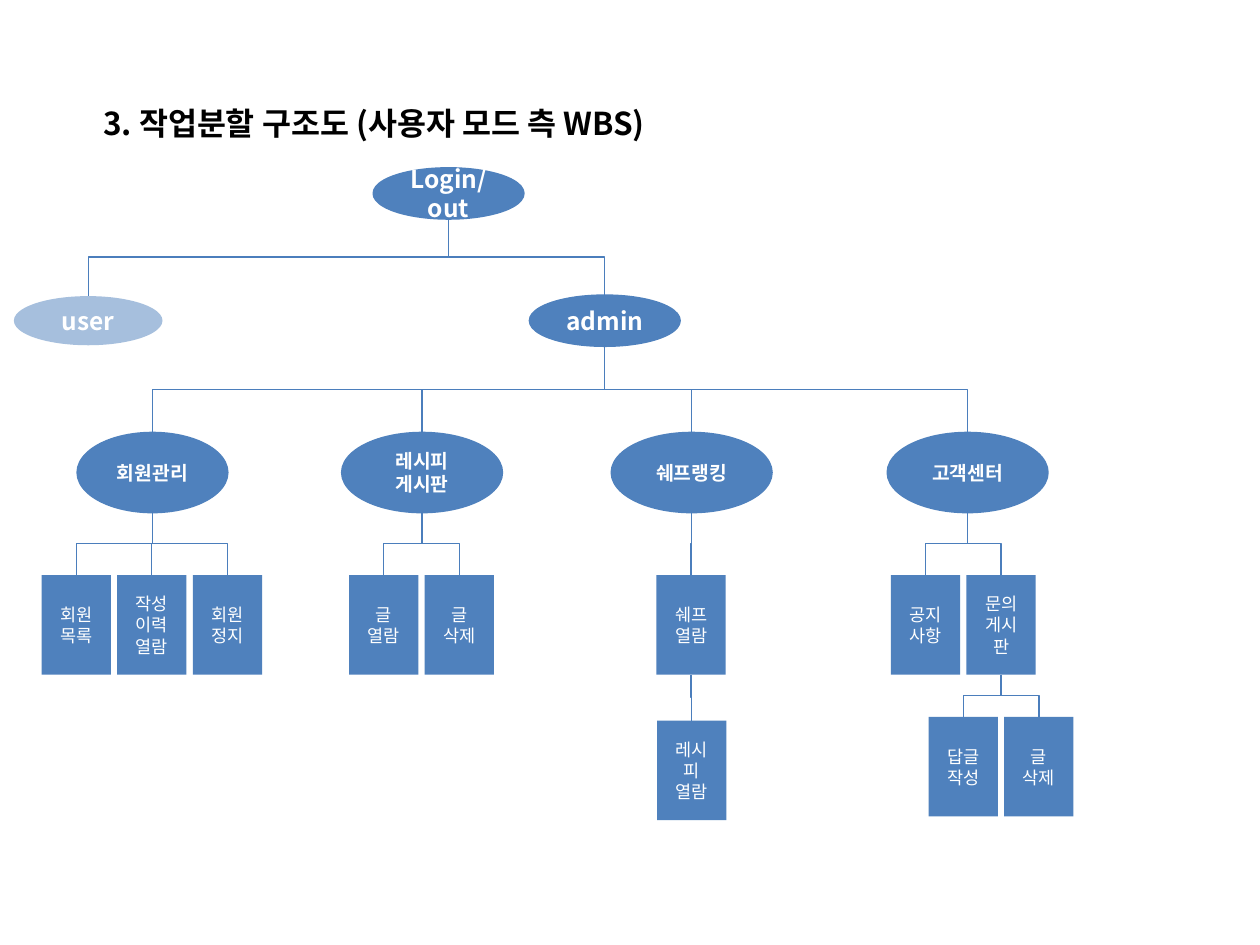
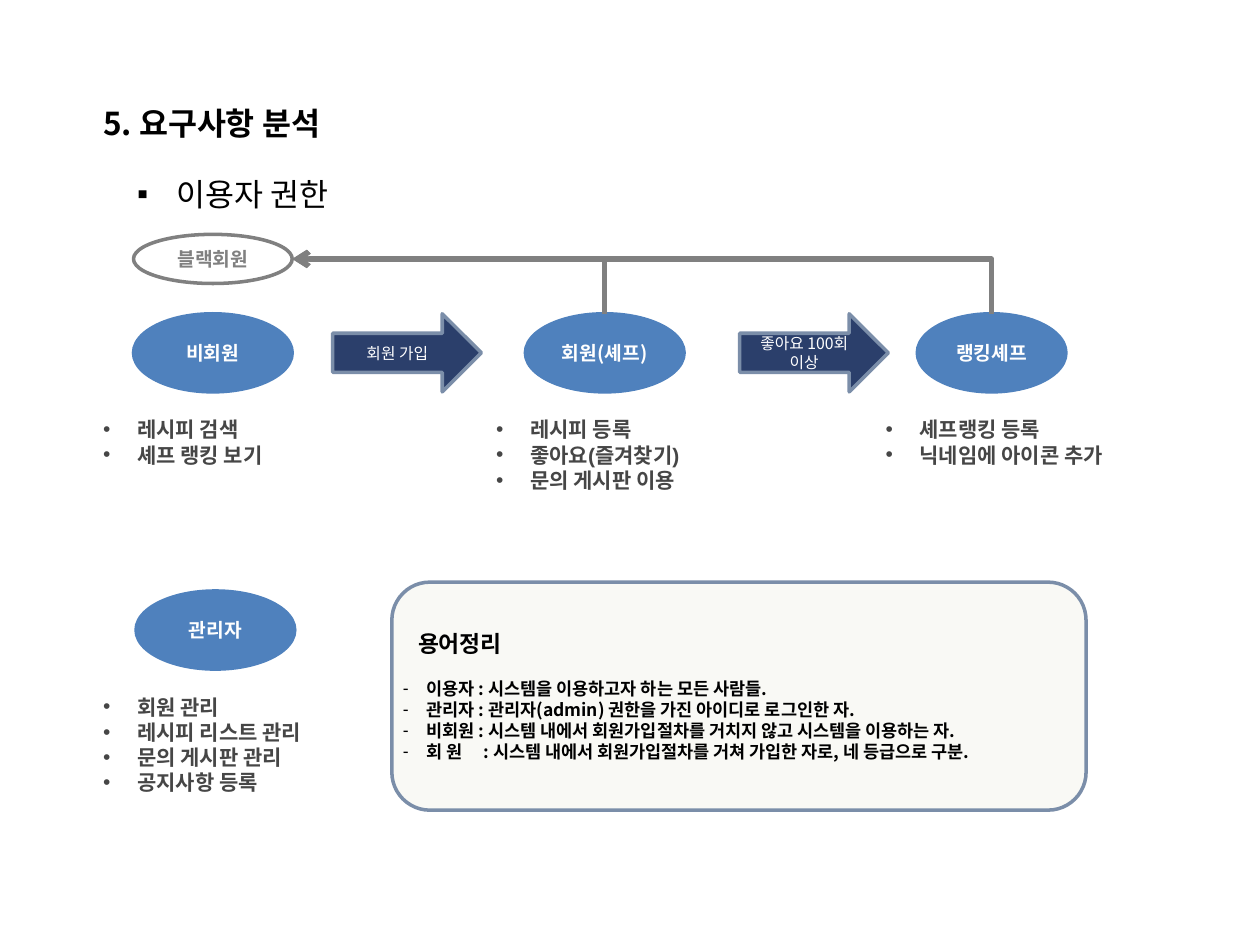
from pptx import Presentation
from pptx.dml.color import RGBColor
from pptx.enum.shapes import MSO_CONNECTOR as CONN, MSO_SHAPE as SHAPE
from pptx.enum.text import MSO_ANCHOR as ANCHOR, PP_ALIGN as ALIGN
from pptx.oxml.ns import qn
from pptx.util import Inches, Pt
from lxml import etree

# Shared style; the grid has 100 columns and 75 rows
CELL = 0.1
FONT = "Noto Sans CJK KR"
BLUE, LINK, NAVY, STEEL = "4F81BD", "4B7EBC", "2B3F6B", "7B8EA9"
GREY, DARK, CREAM, WHITE, BLACK = "808080", "464646", "EEECE1", "FFFFFF", "000000"
HEADING = dict(size=18, bold=True)
OVAL = dict(size=14, bold=True, color=WHITE)
SMALL_OVAL = dict(OVAL, size=11)
BOX = dict(size=10, color=WHITE)
ARROW = dict(size=9, color=WHITE)
RIGHTS = dict(size=12, bold=True, color=DARK, name="Arial")


def rgb(value):
    return RGBColor.from_string(value)


def grid(n):
    return Inches(round(n * CELL, 3))


def sub(parent, tag, **attrs):
    el = etree.SubElement(parent, qn(tag))
    for key, value in attrs.items():
        el.set(key, str(value))
    return el


class Deck:
    def __init__(self):
        self.prs = Presentation()
        self.prs.slide_width, self.prs.slide_height = grid(100), grid(75)
        self.slide = None

    def new_slide(self, title):
        self.slide = self.prs.slides.add_slide(self.prs.slide_layouts[6])
        tf = self.text_box([title], 7.2, 7.2, 88.4, 5.1, HEADING)
        tf.vertical_anchor = ANCHOR.MIDDLE

    def styled_run(self, p, text, fmt):
        r = p.add_run()
        r.text = text
        for key, value in dict(dict(name=FONT, color=BLACK), **fmt).items():
            if key == "color":
                r.font.color.rgb = rgb(value)
            else:
                setattr(r.font, key, Pt(value) if key == "size" else value)
        sub(r._r.get_or_add_rPr(), "a:ea", typeface=FONT)

    def fill_text(self, tf, lines, fmt, align=ALIGN.LEFT, bullet=None):
        """bullet is (sign, left margin, hanging indent)."""
        for i, line in enumerate(lines):
            p = tf.add_paragraph() if i or tf.text else tf.paragraphs[0]
            p.alignment = align
            self.styled_run(p, line, fmt)
            if bullet:
                sign, margin, hang = bullet
                pPr = p._p.get_or_add_pPr()
                pPr.set("marL", str(grid(margin)))
                pPr.set("indent", str(-grid(hang)))
                sub(pPr, "a:buFont", typeface="Arial")
                sub(pPr, "a:buChar", char=sign)

    def text_box(self, lines, x, y, w, h, fmt, bullet=None, wrap=True):
        tf = self.slide.shapes.add_textbox(*map(grid, (x, y, w, h))).text_frame
        tf.word_wrap = wrap
        self.fill_text(tf, lines, fmt, bullet=bullet)
        return tf

    def shape(self, kind, lines, x, y, w, h, fmt, fill=BLUE, line=None, alpha=None):
        sp = self.slide.shapes.add_shape(kind, *map(grid, (x, y, w, h)))
        sp.shadow.inherit = False
        sp.fill.solid()
        sp.fill.fore_color.rgb = rgb(fill)
        if alpha:
            color = sp._element.spPr.find(qn("a:solidFill"))[0]
            sub(color, "a:alpha", val=alpha * 1000)
        if line:
            sp.line.color.rgb, sp.line.width = rgb(line), Pt(2)
        else:
            sp.line.fill.background()
        tf = sp.text_frame
        tf.word_wrap, tf.vertical_anchor = True, ANCHOR.MIDDLE
        self.fill_text(tf, lines, fmt, ALIGN.CENTER)
        return sp

    def elbow(self, start, end, color=LINK, width=0.75, corner=False):
        """Bent line that leaves its start vertically; a corner one has one bend."""
        (x1, y1), (x2, y2) = start, end
        cx, cy, run = (x1 + x2) / 2, (y1 + y2) / 2, abs(y2 - y1) / 2
        rise = (x2 - x1) / 2 if y2 > y1 else (x1 - x2) / 2
        ends = (cx - run, cy + rise, cx + run, cy - rise)
        cn = self.slide.shapes.add_connector(CONN.ELBOW, *map(grid, ends))
        cn.line.color.rgb, cn.line.width = rgb(color), Pt(width)
        spPr = cn._element.spPr
        spPr.find(qn("a:xfrm")).set("rot", str((90 if y2 > y1 else 270) * 60000))
        if corner:
            spPr.find(qn("a:prstGeom")).set("prst", "bentConnector2")
            sub(spPr.find(qn("a:ln")), "a:tailEnd", type="arrow")
        sub(spPr, "a:effectLst")

    def node(self, kind, lines, cx, y, w, h, fmt, parent=None, **look):
        """Tree node centred on cx; returns the point its children hang from."""
        self.shape(kind, lines, cx - w / 2, y, w, h, fmt, **look)
        if parent:
            self.elbow(parent, (cx, y))
        return cx, y + h

    def leaves(self, labels, cx, y, parent):
        """Row of boxes at an equal pitch; returns their lower ends."""
        return [self.node(SHAPE.RECTANGLE, label.split("\n"), cx + 6 * i, y,
                          5.5, 7.9, BOX, parent)
                for i, label in enumerate(labels)]


def wbs_slide(deck):
    deck.new_slide("3. 작업분할 구조도 (사용자 모드 측 WBS)")
    # Login and the two modes
    login = deck.node(SHAPE.OVAL, ["Login/out"], 35.6, 13.4, 11.8, 3.9, OVAL, line=BLUE)
    deck.node(SHAPE.OVAL, ["user"], 7, 23.5, 11.8, 3.9, OVAL, login, alpha=50)
    admin = deck.node(SHAPE.OVAL, ["admin"], 48, 23.5, 11.8, 3.9, OVAL, login, line=BLUE)
    # Admin areas: label, centre, width, first task centre, tasks
    areas = [
        ("회원관리", 12.1, 11.8, 6.05, ["회원목록", "작성\n이력열람", "회원정지"]),
        ("레시피\n게시판", 33.5, 12.6, 30.45, ["글\n열람", "글\n삭제"]),
        ("쉐프랭킹", 54.9, 12.6, 54.85, ["쉐프\n열람"]),
        ("고객센터", 76.8, 12.6, 73.45, ["공지사항", "문의\n게시판"]),
    ]
    ends = {}
    for label, cx, w, first, tasks in areas:
        area = deck.node(SHAPE.OVAL, label.split("\n"), cx, 34.4, w, 6.2,
                         SMALL_OVAL, admin, line=BLUE)
        ends[label] = deck.leaves(tasks, first, 45.65, area)[-1]
    # Second level of tasks
    deck.leaves(["레시피\n열람"], 54.9, 57.2, ends["쉐프랭킹"])
    deck.leaves(["답글\n작성", "글\n삭제"], 76.45, 56.9, ends["고객센터"])


def rights_slide(deck):
    deck.new_slide("5. 요구사항 분석")
    deck.text_box(["이용자 권한"], 9.9, 13.4, 17.4, 4, dict(size=18),
                  bullet=("▪", 3.1, 3.1), wrap=False)
    # User roles: label, left, top, width, left of rights, width of rights, rights
    roles = [
        ("비회원", 10.6, 24.9, 12.6, 6.4, 19.1, ["레시피 검색", "셰프 랭킹 보기"]),
        ("회원(셰프)", 41.7, 24.9, 12.6, 37.6, 22.3,
         ["레시피 등록", "좋아요(즐겨찾기)", "문의 게시판 이용"]),
        ("랭킹셰프", 72.8, 24.9, 11.8, 68.5, 25.2, ["셰프랭킹 등록", "닉네임에 아이콘 추가"]),
        ("관리자", 10.8, 46.9, 12.6, 6.4, 26.9,
         ["회원 관리", "레시피 리스트 관리", "문의 게시판 관리", "공지사항 등록"]),
    ]
    for label, x, y, w, tx, tw, rights in roles:
        deck.shape(SHAPE.OVAL, [label], x, y, w, 6.2, SMALL_OVAL, line=BLUE)
        deck.text_box(rights, tx, y + 7.7, tw, 1 + 2 * len(rights), RIGHTS,
                      bullet=("•", 3.5, 2.7))
    # Steps between roles
    for label, x in (("회원 가입", 26.4), ("좋아요 100회 이상", 58.7)):
        deck.shape(SHAPE.RIGHT_ARROW, [label], x, 24.9, 11.8, 6.2, ARROW, NAVY, STEEL)
    # Blacklisting
    deck.shape(SHAPE.OVAL, ["블랙회원"], 10.6, 18.6, 12.6, 3.9,
               dict(SMALL_OVAL, color=GREY), WHITE, GREY)
    for x in (48, 78.7):
        deck.elbow((x, 24.9), (23.2, 20.55), GREY, 3, corner=True)
    # Glossary
    sp = deck.shape(SHAPE.ROUNDED_RECTANGLE, [], 31.1, 46.2, 55.1, 18.1, {},
                    CREAM, STEEL, alpha=30)
    tf = sp.text_frame
    for side in ("left", "top", "right", "bottom"):
        setattr(tf, f"margin_{side}", 0)
    deck.fill_text(tf, ["용어정리"], dict(size=13, bold=True))
    head = tf.paragraphs[0]
    head.space_after = Pt(12)
    head._p.get_or_add_pPr().set("marL", str(grid(1.2)))
    deck.fill_text(tf, [
        "이용자 : 시스템을 이용하고자 하는 모든 사람들.",
        "관리자 : 관리자(admin) 권한을 가진 아이디로 로그인한 자.",
        "비회원 : 시스템 내에서 회원가입절차를 거치지 않고 시스템을 이용하는 자.",
        "회 원\t: 시스템 내에서 회원가입절차를 거쳐 가입한 자로, 네 등급으로 구분.",
    ], dict(size=10, bold=True), bullet=("-", 1.9, 1.9))
    tabs = sub(tf.paragraphs[-1]._p.get_or_add_pPr(), "a:tabLst")
    sub(tabs, "a:tab", pos=grid(6.4), algn="l")


def main():
    deck = Deck()
    wbs_slide(deck)
    rights_slide(deck)
    deck.prs.save("out.pptx")


if __name__ == "__main__":
    main()
